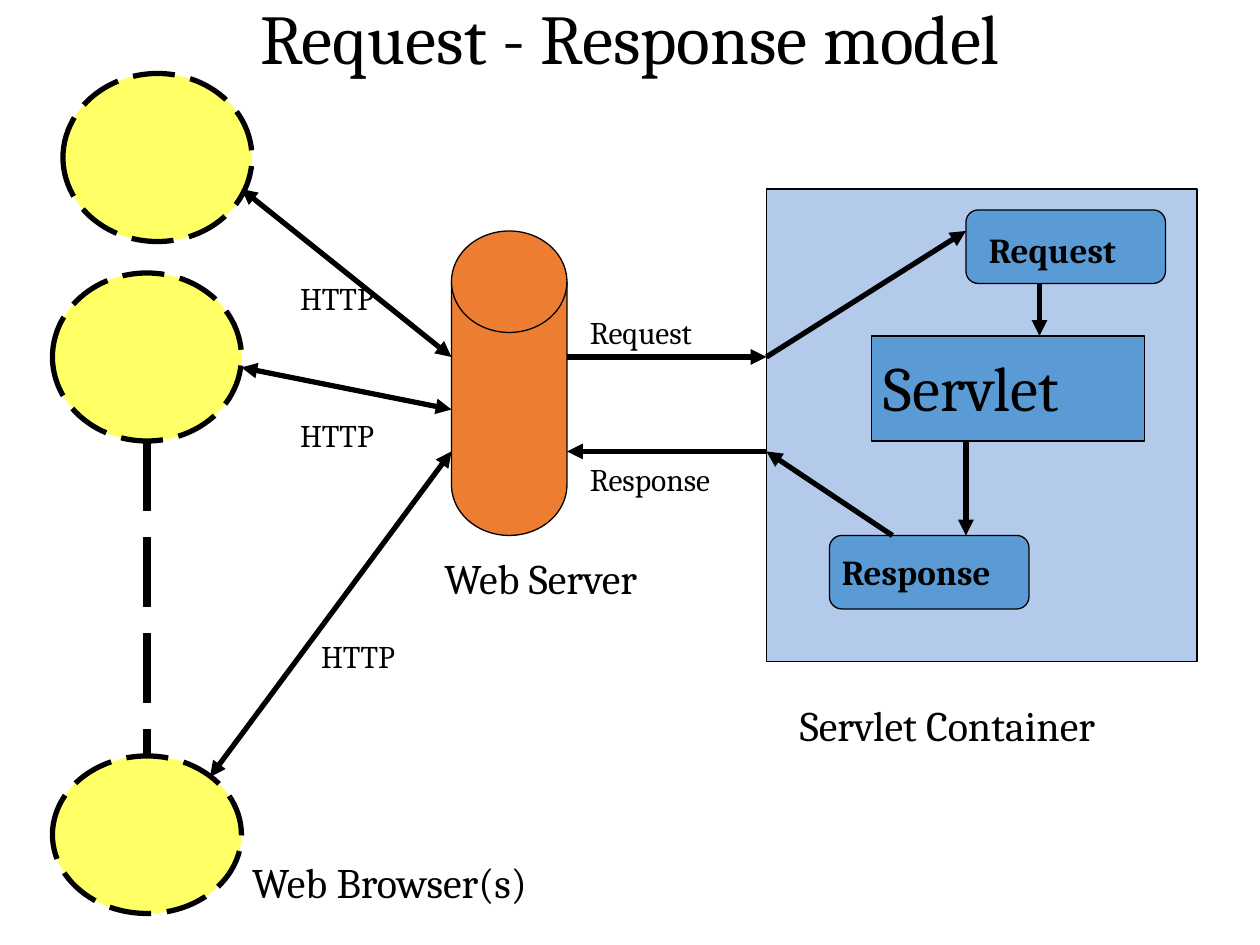
"""Build a slide showing the request and response flow between browsers, server and servlet."""
from dataclasses import dataclass

from lxml.etree import SubElement
from pptx import Presentation
from pptx.dml.color import RGBColor
from pptx.enum.dml import MSO_LINE
from pptx.enum.shapes import MSO_CONNECTOR, MSO_SHAPE
from pptx.enum.text import MSO_ANCHOR, MSO_AUTO_SIZE, PP_ALIGN
from pptx.oxml.ns import qn
from pptx.slide import Slide
from pptx.util import Emu, Pt

PX = 7620
COLORS = {
    "ink": "000000",
    "browser": "FFFF66",
    "server": "ED7D31",
    "container": "B3CAEB",
    "servlet": "5B9BD5",
}
FONT = "Cambria"


def px(*values):
    return [Emu(v * PX) for v in values]


def color(name):
    return RGBColor.from_string(COLORS[name])


@dataclass
class Diagram:
    s: Slide

    def stroke(self, line, width, dash=None):
        line.color.rgb = color("ink")
        for name, value in {"width": Pt(width), "dash_style": dash}.items():
            setattr(line, name, value)

    def shape(self, kind, box, fill, width=0.75, dash=None):
        sp = self.s.shapes.add_shape(kind, *px(*box))
        sp.shadow.inherit = False
        sp.fill.solid()
        sp.fill.fore_color.rgb = color(fill)
        self.stroke(sp.line, width, dash)

    def browser(self, box):
        self.shape(MSO_SHAPE.OVAL, box, "browser", 3, MSO_LINE.LONG_DASH)

    def line(self, start, end, ends=("tailEnd",), width=3, dash=None):
        cx = self.s.shapes.add_connector(MSO_CONNECTOR.STRAIGHT, *px(*start, *end))
        self.stroke(cx.line, width, dash)
        ln = cx.element.spPr.find(qn("a:ln"))
        for tag in ends:
            SubElement(ln, qn(f"a:{tag}"), type="triangle")
        SubElement(cx.element.spPr, qn("a:effectLst"))

    def set_text(self, tf, text, size, align, bold=False):
        tf.word_wrap = True
        p = tf.paragraphs[0]
        p.alignment = align
        r = p.add_run()
        r.text = text
        for name, value in {"name": FONT, "size": Pt(size), "bold": bold}.items():
            setattr(r.font, name, value)
        r.font.color.rgb = color("ink")

    def label(self, text, box, size, align=PP_ALIGN.LEFT, bold=False):
        tf = self.s.shapes.add_textbox(*px(*box)).text_frame
        self.set_text(tf, text, size, align, bold)
        tf.auto_size = MSO_AUTO_SIZE.SHAPE_TO_FIT_TEXT

    def title(self, text, box):
        sp = self.s.shapes.title
        for name, value in zip(("left", "top", "width", "height"), px(*box)):
            setattr(sp, name, value)
        tf = sp.text_frame
        tf.auto_size = MSO_AUTO_SIZE.NONE
        tf.vertical_anchor = MSO_ANCHOR.MIDDLE
        self.set_text(tf, text, 40, PP_ALIGN.CENTER)


def main():
    prs = Presentation()
    prs.slide_width, prs.slide_height = px(1200, 900)
    d = Diagram(prs.slides.add_slide(prs.slide_layouts[5]))
    d.title("Request - Response model", (0, 0, 1200, 70))

    d.shape(MSO_SHAPE.FLOWCHART_MAGNETIC_DISK, (430, 220, 110, 290), "server")
    d.shape(MSO_SHAPE.RECTANGLE, (730, 180, 410, 450), "container")
    d.shape(MSO_SHAPE.RECTANGLE, (830, 320, 260, 100), "servlet")
    for left, top in ((920, 200), (790, 510)):
        d.shape(MSO_SHAPE.FLOWCHART_ALTERNATE_PROCESS, (left, top, 190, 70), "servlet")
    for box in ((60, 70, 180, 160), (50, 260, 180, 160), (50, 720, 180, 150)):
        d.browser(box)

    d.line((140, 420), (140, 720), (), 5, MSO_LINE.LONG_DASH)
    for start, end in (
        ((230, 180), (430, 340)),
        ((230, 350), (430, 390)),
        ((200, 740), (430, 430)),
    ):
        d.line(start, end, ("headEnd", "tailEnd"))
    for start, end in (
        ((540, 340), (730, 340)),
        ((730, 340), (920, 220)),
        ((990, 270), (990, 320)),
        ((920, 420), (920, 510)),
        ((850, 510), (730, 430)),
        ((730, 430), (540, 430)),
    ):
        d.line(start, end)

    for left, top in ((260, 260), (260, 390), (280, 601)):
        d.label("HTTP", (left, top, 122, 48), 18, PP_ALIGN.CENTER)
    for text, top in (("Request", 292), ("Response", 432)):
        d.label(text, (550, top, 197, 48), 18)
    d.label("Servlet", (830, 326, 307, 84), 36)
    d.label("Request", (930, 212, 209, 52), 20, bold=True)
    d.label("Response", (790, 518, 246, 52), 20, bold=True)
    d.label("Web Browser(s)", (212, 810, 318, 60), 24, PP_ALIGN.CENTER)
    d.label("Web Server", (380, 520, 270, 60), 24, PP_ALIGN.CENTER)
    d.label("Servlet Container", (750, 660, 442, 60), 24)
    prs.save("out.pptx")


if __name__ == "__main__":
    main()
